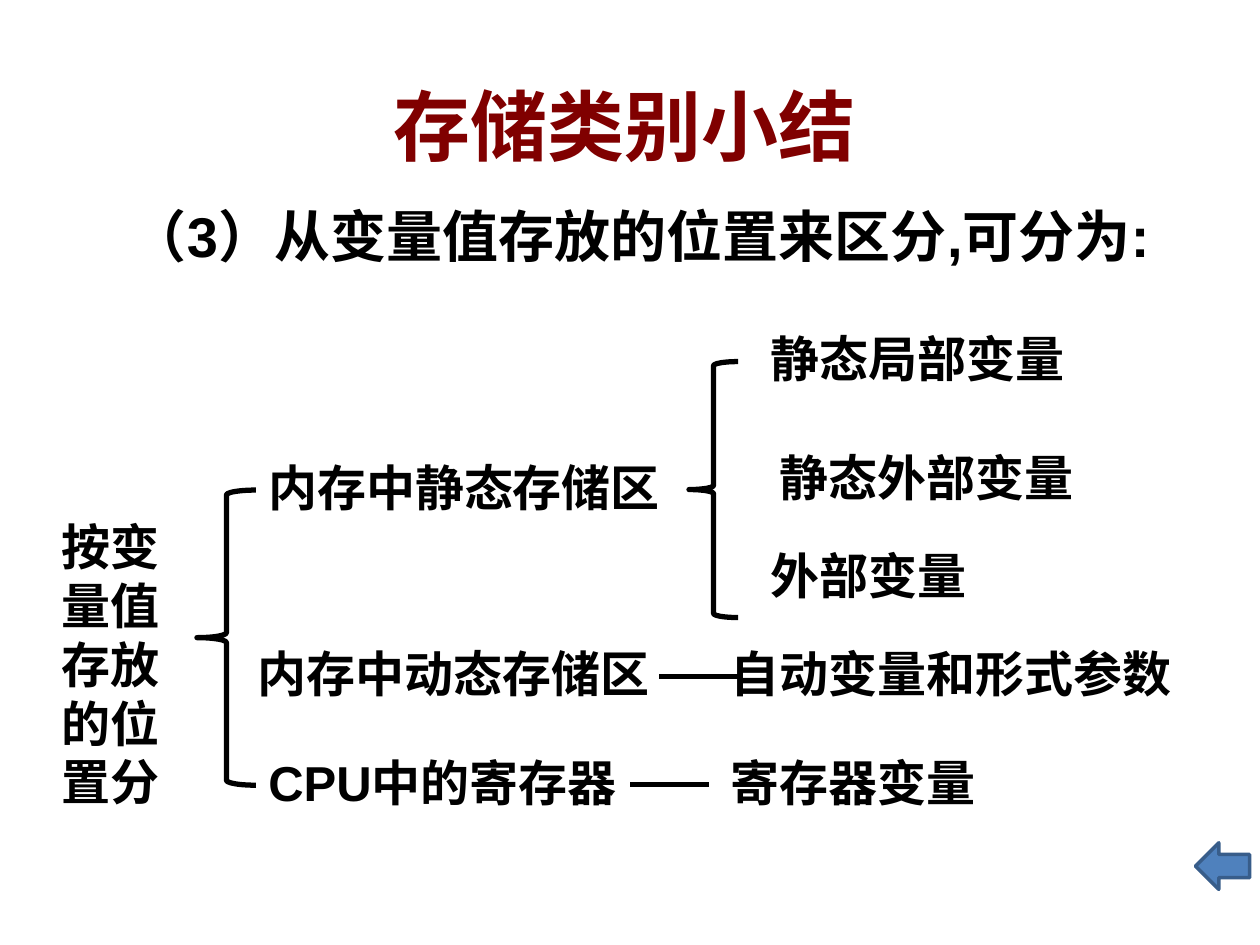
import pptx
import pptx.dml.color
import pptx.enum.lang
import pptx.enum.shapes
import pptx.enum.text
import pptx.oxml
import pptx.util
from pptx.util import Cm

BLACK = pptx.dml.color.RGBColor(0x00, 0x00, 0x00)
MAROON = pptx.dml.color.RGBColor(0x80, 0x00, 0x00)
WHITE = pptx.dml.color.RGBColor(0xFF, 0xFF, 0xFF)
BLUE = pptx.dml.color.RGBColor(0x4F, 0x81, 0xBD)
DARK_BLUE = pptx.dml.color.RGBColor(0x38, 0x5D, 0x8A)
FONT = "Arial"

# Content; all lengths in centimetres
TITLE = ("存储类别小结", 1.17, 1.32, 22.86, 2.39)
INTRO = ("（3）从变量值存放的位置来区分,可分为:", 2.39, 3.94, 21.44, 2.97)
LABEL_HEIGHT = 1.45
DYNAMIC_TOP, REGISTER_TOP = 12.85, 15.04
LABELS = [  # text, left, top, width
    ("内存中静态存储区", 5.16, 9.09, 8.94),
    ("内存中动态存储区", 4.95, DYNAMIC_TOP, 8.74),
    ("CPU中的寄存器", 5.16, REGISTER_TOP, 8.53),
    ("静态局部变量", 15.29, 6.5, 7.14),
    ("静态外部变量", 15.47, 8.89, 6.76),
    ("外部变量", 15.29, 10.87, 5.56),
    ("自动变量和形式参数", 14.48, DYNAMIC_TOP, 9.93),
    ("寄存器变量", 14.48, REGISTER_TOP, 6.76),
]
ROOT = ("按变量值存放的位置分", 0.99, 10.29, 2.77, 6.2)
BRACES = [(3.97, 9.88, 1.19, 5.95), (13.89, 7.29, 0.99, 5.16)]
LINK_LENGTH = 1.59
LINKS = [(13.29, 13.64), (12.7, 15.82)]  # left, y
BACK_ARROW = (24.1, 16.99, 1.09, 0.94)


def add_text(slide, text, left, top, width, height, size=28, color=BLACK):
    box = slide.shapes.add_textbox(Cm(left), Cm(top), Cm(width), Cm(height))
    box.text_frame.word_wrap = True
    run = box.text_frame.paragraphs[0].add_run()
    run.text = text
    run.font.name = FONT
    run.font.size = pptx.util.Pt(size)
    run.font.bold = True
    run.font.color.rgb = color
    run.font.language_id = pptx.enum.lang.MSO_LANGUAGE_ID.SIMPLIFIED_CHINESE
    return box


def add_preset(slide, kind, place, fill, line, line_width):
    shape = slide.shapes.add_shape(kind, *map(Cm, place))
    shape.shadow.inherit = False
    shape.fill.solid()
    shape.fill.fore_color.rgb = fill
    shape.line.color.rgb = line
    shape.line.width = pptx.util.Pt(line_width)


def add_link(slide, left, y):
    link = slide.shapes.add_connector(
        pptx.enum.shapes.MSO_CONNECTOR.STRAIGHT,
        Cm(left), Cm(y), Cm(left + LINK_LENGTH), Cm(y))
    link.line.color.rgb = BLACK
    link.line.width = pptx.util.Pt(3)
    link._element.spPr.append(pptx.oxml.parse_xml(
        '<a:effectLst xmlns:a="http://schemas.openxmlformats.org/drawingml/2006/main"/>'))


def main():
    presentation = pptx.Presentation()
    presentation.slide_width = Cm(25.4)
    presentation.slide_height = Cm(19.05)
    slide = presentation.slides.add_slide(presentation.slide_layouts[6])
    kinds = pptx.enum.shapes.MSO_SHAPE

    # Title and introduction
    title = add_text(slide, *TITLE, size=44, color=MAROON)
    title.fill.solid()
    title.fill.fore_color.rgb = WHITE
    title.text_frame.vertical_anchor = pptx.enum.text.MSO_ANCHOR.MIDDLE
    title.text_frame.paragraphs[0].alignment = pptx.enum.text.PP_ALIGN.CENTER
    add_text(slide, *INTRO, size=32)

    # Classification tree
    add_text(slide, *ROOT)
    for place in BRACES:
        add_preset(slide, kinds.LEFT_BRACE, place, WHITE, BLACK, 3)
    for label in LABELS:
        add_text(slide, *label, LABEL_HEIGHT)
    for left, y in LINKS:
        add_link(slide, left, y)

    # Back arrow
    add_preset(slide, kinds.LEFT_ARROW, BACK_ARROW, BLUE, DARK_BLUE, 2)
    presentation.save("out.pptx")


if __name__ == "__main__":
    main()
